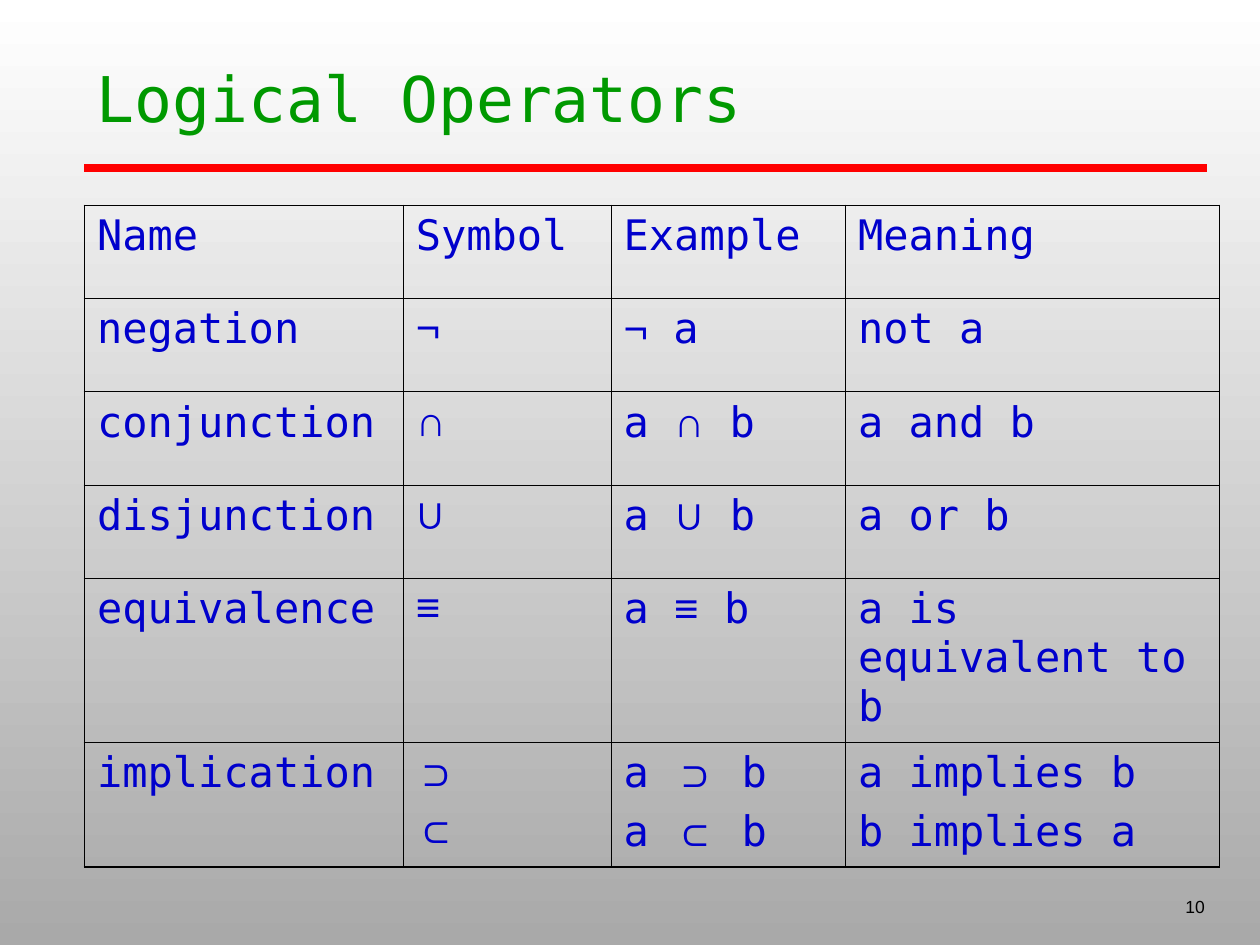
from lxml import etree
from pptx import Presentation
from pptx.dml.color import RGBColor
from pptx.enum import shapes, text
from pptx.oxml import ns
from pptx.util import Inches, Pt

COLORS = {"title": "009900", "rule": "FF0000", "body": "0000CC",
          "ink": "000000", "top": "FFFFFF", "base": "A9A9A9"}
MONO, SANS = "DejaVu Sans Mono", "Arial"
SIGNS = "¬∩∪≡⊃⊂"


def add_run(para, words, size, color, face=MONO):
    run = para.add_run()
    run.text = words
    run.font.size = Pt(size)
    run.font.name = face
    run.font.color.rgb = RGBColor.from_string(COLORS[color])


def add_edge(cell, side, width):
    """Draw one border (L, R, T or B) of a table cell."""
    line = etree.SubElement(cell._tc.get_or_add_tcPr(), ns.qn("a:ln" + side),
                            w=str(Pt(width)))
    fill = etree.SubElement(line, ns.qn("a:solidFill"))
    etree.SubElement(fill, ns.qn("a:srgbClr"), val=COLORS["ink"])


deck = Presentation()
deck.slide_width, deck.slide_height = Inches(10), Inches(7.5)
slide = deck.slides.add_slide(deck.slide_layouts[6])

# Background, white at the top
back = slide.background.fill
back.gradient()
back.gradient_angle = 270
for stop, name in zip(back.gradient_stops, ("top", "base")):
    stop.color.rgb = RGBColor.from_string(COLORS[name])

# Red rule under the title
rule = slide.shapes.add_connector(shapes.MSO_CONNECTOR.STRAIGHT, Inches(0.67),
                                  Inches(1.33), Inches(9.58), Inches(1.33))
rule.line.color.rgb = RGBColor.from_string(COLORS["rule"])
rule.line.width = Pt(4.5)
etree.SubElement(rule._element.spPr, ns.qn("a:effectLst"))

# Title
title = slide.shapes.add_textbox(Inches(0.67), Inches(0.42),
                                 Inches(8.92), Inches(1.25)).text_frame
title.word_wrap = True
add_run(title.paragraphs[0], "Logical Operators", 36, "title")

# Table of operators: a cell is a list of paragraphs, each a list of runs
rows = [
    ("Name", "Symbol", "Example", "Meaning"),
    ("negation", "¬", "¬| a", "not a"),
    ("conjunction", "∩", "a |∩| b", "a and b"),
    ("disjunction", "∪", "a |∪| b", "a or b"),
    ("equivalence", "≡", "a |≡| b", "a is equivalent to b"),
    ("implication", "⊃\n⊂", "a |⊃| b\na |⊂| b", "a implies b\nb implies a"),
]
widths = [2.53, 1.65, 1.86, 2.97]
heights = [0.74] * 4 + [0.9, 0.99]
table = slide.shapes.add_table(len(rows), len(widths), Inches(0.67), Inches(1.63),
                               Inches(9), Inches(4.84)).table
table.first_row = table.horz_banding = False
for col, width in zip(table.columns, widths):
    col.width = Inches(width)
for row, height in zip(table.rows, heights):
    row.height = Inches(height)

for r, row in enumerate(rows):
    for c, words in enumerate(row):
        cell = table.cell(r, c)
        outer = {"L": c == 0, "R": c == len(widths) - 1,
                 "T": r == 0, "B": r == len(rows) - 1}
        for side, edge in outer.items():
            add_edge(cell, side, 1.08 if edge else 0.45)
        cell.fill.background()
        frame = cell.text_frame
        for n, line in enumerate(words.split("\n")):
            para = frame.add_paragraph() if n else frame.paragraphs[0]
            if n:
                para.space_before = Pt(6)
            for part in line.split("|"):
                add_run(para, part, 24, "body", SANS if part in SIGNS else MONO)

# Page number
page = slide.shapes.add_textbox(Inches(7.58), Inches(6.83),
                                Inches(2.08), Inches(0.5)).text_frame
page.word_wrap = True
page.vertical_anchor = text.MSO_ANCHOR.BOTTOM
page.paragraphs[0].alignment = text.PP_ALIGN.RIGHT
add_run(page.paragraphs[0], "10", 10, "ink", SANS)

deck.save("out.pptx")
